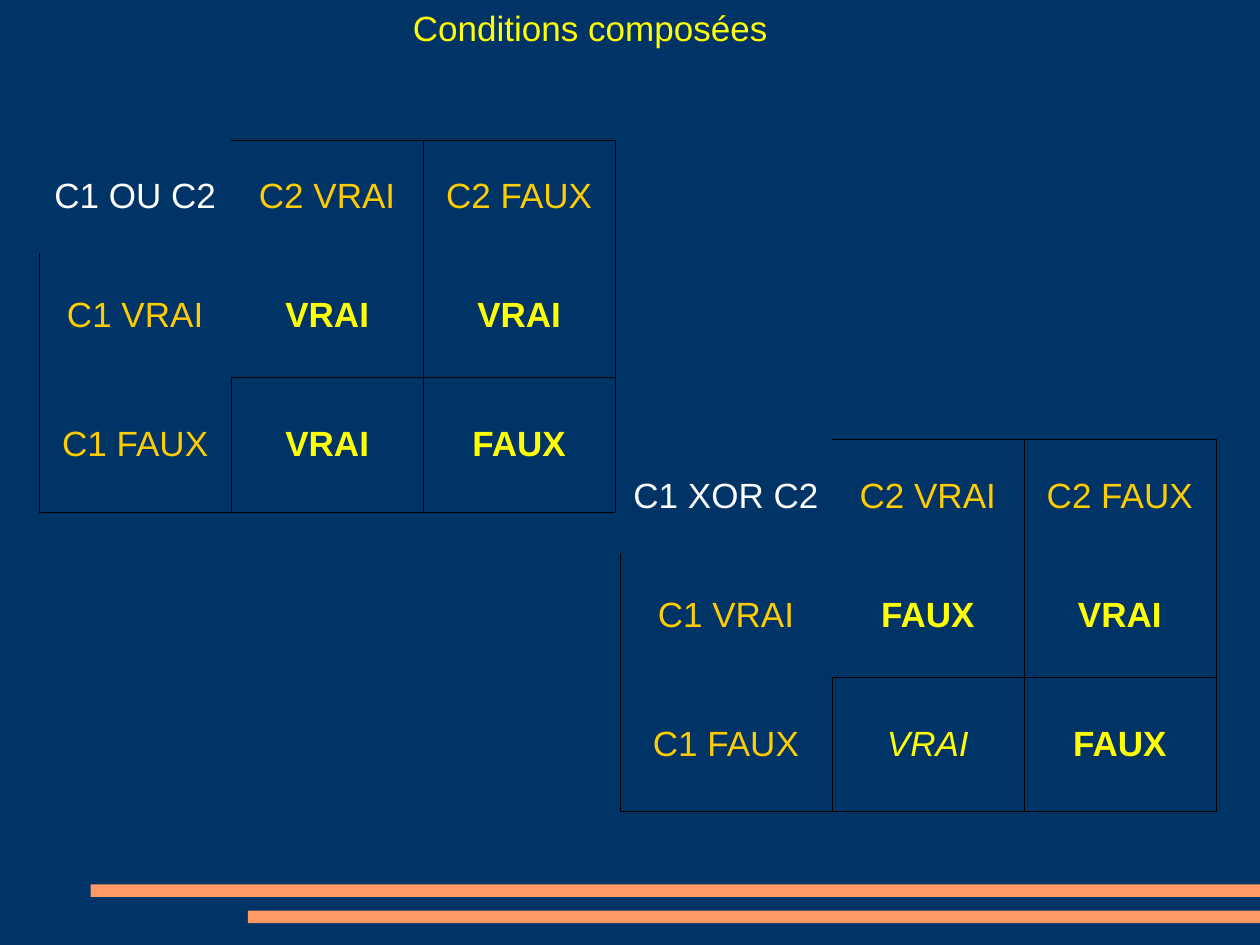
from pptx import Presentation
from pptx import util as u
from pptx.dml.color import RGBColor
from pptx.enum import shapes, text
from pptx.oxml.ns import qn
from lxml import etree

THEME = {
    "font": "Arial",
    "size": u.Pt(20),
    "background": RGBColor.from_string("003366"),
    "bar": RGBColor.from_string("FF9966"),
    "corner": RGBColor.from_string("FFFFFF"),
    "header": RGBColor.from_string("FFCC00"),
    "value": RGBColor.from_string("FFFF00"),
    "border": "000000",
    "border_width": u.Pt(0.06),
}

WIDTH, HEIGHT = 25.4, 19.05
TITLE = "Conditions composées"
TITLE_PLACE = (1.09, 0, 21.62, 1.12)
BARS = [(1.83, 17.83), (5, 18.36)]
BAR_HEIGHT = 0.25

VALUE_WIDTH = 3.87
ROW_HEIGHTS = [2.29, 2.49, 2.72]
TRUTH_TABLES = [
    {
        "place": (0.79, 2.82),
        "label_width": 3.87,
        "rows": [
            ["C1 OU C2", "C2 VRAI", "C2 FAUX"],
            ["C1 VRAI", "VRAI", "VRAI"],
            ["C1 FAUX", "VRAI", "FAUX"],
        ],
        "italic": [],
    },
    {
        "place": (12.5, 8.86),
        "label_width": 4.27,
        "rows": [
            ["C1 XOR C2", "C2 VRAI", "C2 FAUX"],
            ["C1 VRAI", "FAUX", "VRAI"],
            ["C1 FAUX", "VRAI", "FAUX"],
        ],
        "italic": [(2, 1)],
    },
]
BORDERS = [
    ["", "TR", "LTR"],
    ["L", "RB", "LRB"],
    ["LRB", "LTRB", "LTRB"],
]


def write(frame, words, color, bold=False, italic=False):
    frame.text = words
    para = frame.paragraphs[0]
    para.alignment = text.PP_ALIGN.CENTER
    para.space_before = u.Pt(0)
    font = para.runs[0].font
    font.name, font.size = THEME["font"], THEME["size"]
    font.bold, font.italic = bold, italic
    font.color.rgb = color


def draw_borders(cell, sides):
    properties = cell._tc.get_or_add_tcPr()
    for side in "LRTB":
        line = etree.SubElement(properties, qn(f"a:ln{side}"), w=str(THEME["border_width"]))
        if side in sides:
            fill = etree.SubElement(line, qn("a:solidFill"))
            etree.SubElement(fill, qn("a:srgbClr"), val=THEME["border"])
        else:
            etree.SubElement(line, qn("a:noFill"))


def add_truth_table(page, content):
    left, top = content["place"]
    widths = [content["label_width"], VALUE_WIDTH, VALUE_WIDTH]
    frame = page.shapes.add_table(
        len(ROW_HEIGHTS), len(widths), u.Cm(left), u.Cm(top),
        u.Cm(sum(widths)), u.Cm(sum(ROW_HEIGHTS)))
    table = frame.table
    table.first_row = table.horz_banding = False
    for column, width in zip(table.columns, widths):
        column.width = u.Cm(width)
    for row, height in zip(table.rows, ROW_HEIGHTS):
        row.height = u.Cm(height)
    for i, words in enumerate(content["rows"]):
        for j, word in enumerate(words):
            cell = table.cell(i, j)
            draw_borders(cell, BORDERS[i][j])
            cell.fill.background()
            cell.vertical_anchor = text.MSO_ANCHOR.MIDDLE
            is_value = i > 0 and j > 0
            role = "value" if is_value else "header" if i or j else "corner"
            italic = (i, j) in content["italic"]
            write(cell.text_frame, word, THEME[role], is_value and not italic, italic)


def add_bar(page, left, top):
    bar = page.shapes.add_shape(
        shapes.MSO_SHAPE.RECTANGLE, u.Cm(left), u.Cm(top),
        u.Cm(WIDTH - left), u.Cm(BAR_HEIGHT))
    bar.shadow.inherit = False
    bar.fill.solid()
    bar.fill.fore_color.rgb = THEME["bar"]
    bar.line.fill.background()


def add_title(page):
    title = page.shapes.title
    title.left, title.top, title.width, title.height = map(u.Cm, TITLE_PLACE)
    frame = title.text_frame
    frame.word_wrap = True
    frame.auto_size = text.MSO_AUTO_SIZE.NONE
    frame.vertical_anchor = text.MSO_ANCHOR.TOP
    write(frame, TITLE, THEME["value"])


def main():
    deck = Presentation()
    deck.slide_width, deck.slide_height = u.Cm(WIDTH), u.Cm(HEIGHT)
    page = deck.slides.add_slide(deck.slide_layouts[5])
    page.background.fill.solid()
    page.background.fill.fore_color.rgb = THEME["background"]
    for left, top in BARS:
        add_bar(page, left, top)
    add_title(page)
    for content in TRUTH_TABLES:
        add_truth_table(page, content)
    deck.save("out.pptx")


if __name__ == "__main__":
    main()
